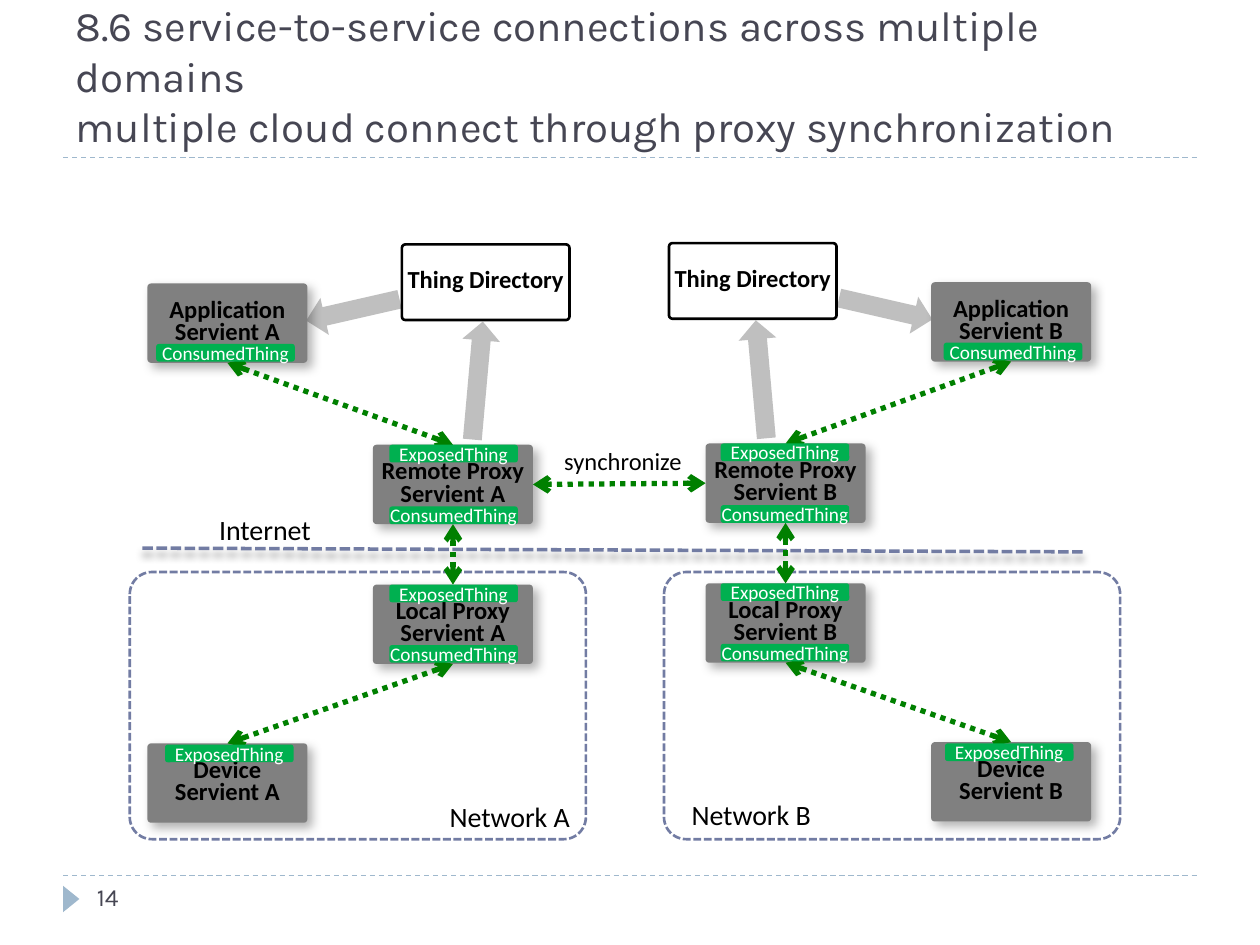
from typing import NamedTuple

from lxml import etree
from pptx import Presentation
from pptx.dml.color import RGBColor
from pptx.enum.dml import MSO_LINE
from pptx.enum.shapes import MSO_CONNECTOR, MSO_SHAPE
from pptx.enum.text import MSO_ANCHOR, MSO_AUTO_SIZE, PP_ALIGN
from pptx.oxml.ns import qn
from pptx.util import Pt

PX = 9144  # EMU in one px, 100 px to the inch
ROUND, ARROW, TRIANGLE = (MSO_SHAPE.ROUNDED_RECTANGLE, MSO_SHAPE.DOWN_ARROW,
                          MSO_SHAPE.ISOSCELES_TRIANGLE)
STRAIGHT = MSO_CONNECTOR.STRAIGHT
DASH, SHORT, DOT = MSO_LINE.DASH, MSO_LINE.SQUARE_DOT, MSO_LINE.ROUND_DOT
LEFT, CENTER = PP_ALIGN.LEFT, PP_ALIGN.CENTER
MIDDLE, BOTTOM = MSO_ANCHOR.MIDDLE, MSO_ANCHOR.BOTTOM
NO_FIT, GROW = MSO_AUTO_SIZE.NONE, MSO_AUTO_SIZE.SHAPE_TO_FIT_TEXT

BLACK = RGBColor(0, 0, 0)
WHITE = RGBColor(255, 255, 255)
SLATE = RGBColor(0x46, 0x46, 0x53)
PALE = RGBColor(0x9F, 0xB8, 0xCD)
BLUE = RGBColor(0x72, 0x7C, 0xA3)
GRAY = RGBColor(0x80, 0x80, 0x80)
SILVER = RGBColor(0xBF, 0xBF, 0xBF)
GREEN = RGBColor(0, 0xB0, 0x50)
DARK = RGBColor(0, 0x80, 0)

SPAN = 983  # left edge plus right edge of a mirrored pair
TOP, SIDE, BASE, END = 0, 1, 2, 3  # connection sites


class Area(NamedTuple):
    x: int
    y: int
    w: int
    h: int


class Node(NamedTuple):
    name: str
    area: Area


class Block(NamedTuple):
    area: Area
    turn: float


class Link(NamedTuple):
    start: str
    site: int
    stop: str
    goal: int


class Half(NamedTuple):
    name: str
    flip: bool
    lift: int
    net: Area
    label: Area


HALVES = [
    Half("A", False, 0, Area(103, 454, 362, 212), Area(347, 630, 117, 37)),
    Half("B", True, 1, Area(527, 454, 362, 212), Area(539, 628, 117, 37)),
]
NODES = [
    Node("Remote Proxy", Area(296, 353, 127, 63)),
    Node("Local Proxy", Area(296, 464, 127, 63)),
    Node("Device", Area(117, 590, 127, 63)),
    Node("Application", Area(117, 225, 127, 63)),
]
TAGS = [
    Node("ConsumedThing", Area(309, 402, 102, 14)),
    Node("ExposedThing", Area(309, 353, 102, 14)),
    Node("ConsumedThing", Area(124, 273, 110, 14)),
    Node("ExposedThing", Area(309, 464, 102, 14)),
    Node("ExposedThing", Area(131, 591, 102, 14)),
    Node("ConsumedThing", Area(309, 512, 102, 14)),
]
BLOCKS = [Block(Area(265, 208, 30, 76), 77.1), Block(Area(364, 255, 30, 94), 185.1)]
LINKS = [
    Link("Remote Proxy", TOP, "Application", BASE),
    Link("Device", TOP, "Local Proxy", BASE),
    Link("Local Proxy", TOP, "Remote Proxy", BASE),
]
FOLDER = Area(319, 194, 133, 60)


def scale(area: Area) -> list[int]:
    return [n * PX for n in area]


def place(area: Area, half: Half) -> Area:
    """Mirror the area across the slide for the flipped half."""
    x = SPAN - area.x - area.w if half.flip else area.x
    return area._replace(x=x, y=area.y - half.lift)


def write(shape, text: str, size: int, color: RGBColor, font: str = "Calibri",
          bold: bool = False, align=LEFT, space: float = 1.0) -> None:
    shape.text_frame.text = text
    for par in shape.text_frame.paragraphs:
        par.alignment, par.line_spacing = align, space
        for run in par.runs:
            run.font.size, run.font.name, run.font.bold = Pt(size), font, bold
            run.font.color.rgb = color


def shade(parent, alpha: int, blur: float, dist: float, angle: int) -> None:
    """Add an outer shadow to an effect list; alpha in percent, lengths in points."""
    cast = etree.SubElement(parent, qn("a:outerShdw"), blurRad=str(Pt(blur)),
                            dist=str(Pt(dist)), dir=str(angle * 60000),
                            algn="tl", rotWithShape="0")
    hue = etree.SubElement(cast, qn("a:srgbClr"), val=str(BLACK))
    etree.SubElement(hue, qn("a:alpha"), val=str(alpha * 1000))


def draw(slide, kind, area: Area, fill=None, line=None, bend=None, turn: float = 0):
    shape = slide.shapes.add_shape(kind, *scale(area))
    shape.shadow.inherit = False
    shape.rotation = turn
    if bend is not None:
        shape.adjustments[0] = bend
    if fill is None:
        shape.fill.background()
    else:
        shape.fill.solid()
        shape.fill.fore_color.rgb = fill
    if line is None:
        shape.line.fill.background()
    else:
        shape.line.color.rgb, shape.line.width = line, Pt(1.5)
    return shape


def card(slide, text: str, area: Area, fill: RGBColor, line=None):
    shape = draw(slide, ROUND, area, fill, line, 0.045)
    frame = shape.text_frame
    frame.margin_left = frame.margin_right = frame.margin_top = frame.margin_bottom = 0
    frame.word_wrap, frame.vertical_anchor = False, MIDDLE
    write(shape, text, 14, BLACK, bold=True, align=CENTER, space=0.75)
    return shape


def tag(slide, text: str, area: Area) -> None:
    shape = draw(slide, ROUND, area, GREEN, bend=0.15)
    shape.text_frame.word_wrap, shape.text_frame.vertical_anchor = False, MIDDLE
    write(shape, text, 11, WHITE, align=CENTER)


def label(slide, text: str, area: Area, size: int) -> None:
    box = slide.shapes.add_textbox(*scale(area))
    box.text_frame.word_wrap, box.text_frame.auto_size = False, GROW
    write(box, text, size, BLACK)


def rule(slide, ends: Area, color: RGBColor, width: float, dash):
    """Draw a line; ends holds x and y of the start, then of the end."""
    line = slide.shapes.add_connector(STRAIGHT, *scale(ends))
    line.line.color.rgb, line.line.width, line.line.dash_style = color, Pt(width), dash
    return line, etree.SubElement(line.element.spPr, qn("a:effectLst"))


def join(slide, start, site: int, stop, goal: int) -> None:
    line, _ = rule(slide, Area(0, 0, 0, 0), DARK, 3, DOT)
    line.begin_connect(start, site)
    line.end_connect(stop, goal)
    stroke = line.element.spPr.find(qn("a:ln"))
    for end in ("a:headEnd", "a:tailEnd"):
        etree.SubElement(stroke, qn(end), type="arrow")


def main() -> None:
    deck = Presentation()
    deck.slide_width, deck.slide_height = 1000 * PX, 750 * PX
    slide = deck.slides.add_slide(deck.slide_layouts[5])

    for y in (695, 125):
        rule(slide, Area(50, y, 950, y), PALE, 0.75, DASH)
    draw(slide, TRIANGLE, Area(46, 707, 21, 13), PALE, turn=90)
    title = slide.shapes.title
    title.left, title.top, title.width, title.height = scale(Area(50, 25, 900, 100))
    title.text_frame.vertical_anchor, title.text_frame.auto_size = BOTTOM, NO_FIT
    write(title, "8.6 service-to-service connections across multiple domains\v"
          "multiple cloud connect through proxy synchronization", 24, SLATE, "Karla")
    page = slide.shapes.add_textbox(*scale(Area(67, 695, 217, 40)))
    page.text_frame.word_wrap = True
    write(page, "14", 14, SLATE, "Karla")

    _, effects = rule(slide, Area(113, 435, 860, 438), BLUE, 2, SHORT)
    shade(effects, 40, 4, 3.4, 90)

    cards = {}
    for half in HALVES:
        net = draw(slide, ROUND, half.net, line=BLUE, bend=0.083)
        net.line.dash_style = SHORT
        for block in BLOCKS:
            turn = 360 - block.turn if half.flip else block.turn
            draw(slide, ARROW, place(block.area, half), SILVER, turn=turn)
        card(slide, "Thing Directory", place(FOLDER, half), WHITE, BLACK)
        for node in NODES:
            shape = card(slide, f"{node.name}\nServient {half.name}",
                         place(node.area, half), GRAY)
            shade(shape.element.spPr.find(qn("a:effectLst")), 30, 6, 4, 45)
            cards[node.name, half.name] = shape
        for link in LINKS:
            join(slide, cards[link.start, half.name], link.site,
                 cards[link.stop, half.name], link.goal)
        for node in TAGS:
            tag(slide, node.name, place(node.area, half))
        label(slide, f"Network {half.name}", half.label, 16)

    label(slide, "Internet", Area(164, 402, 94, 37), 16)
    label(slide, "synchronize", Area(438, 349, 114, 34), 14)
    join(slide, cards["Remote Proxy", "B"], SIDE, cards["Remote Proxy", "A"], END)
    deck.save("out.pptx")


if __name__ == "__main__":
    main()
